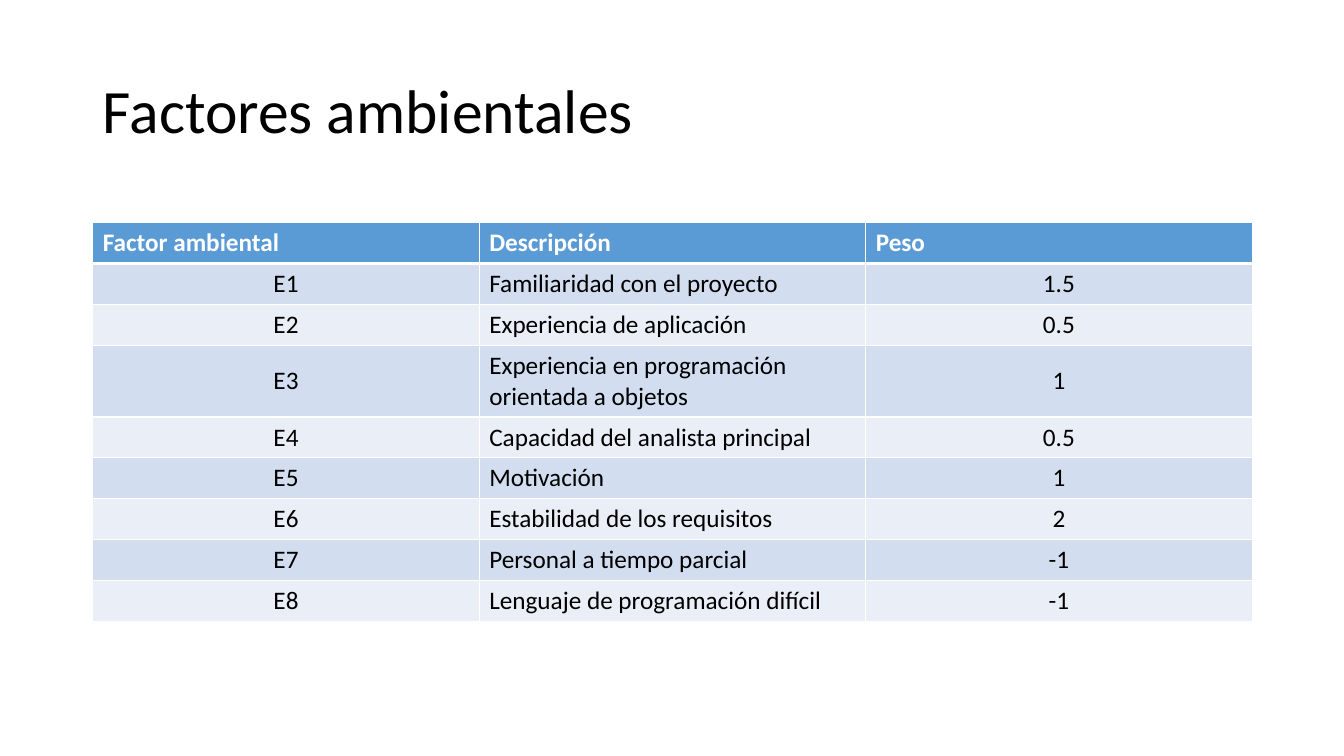
from lxml.etree import SubElement
from pptx import Presentation
from pptx.dml.color import RGBColor
from pptx.enum.text import MSO_ANCHOR, MSO_AUTO_SIZE, PP_ALIGN
from pptx.oxml.ns import qn
from pptx.util import Inches, Pt

COLORS = {"text": "000000", "white": "FFFFFF", "header": "5B9BD5",
          "odd": "D2DEEF", "even": "EAEFF7"}
LEFT, WIDTH = 0.92, 11.5
TITLE_TOP, TITLE_HEIGHT = 0.4, 1.45
TABLE_TOP, ROW_HEIGHT = 2.21, 0.405
HEADINGS = ("Factor ambiental", "Descripción", "Peso")
FACTORS = (
    ("Familiaridad con el proyecto", "1.5"),
    ("Experiencia de aplicación", "0.5"),
    ("Experiencia en programación orientada a objetos", "1"),
    ("Capacidad del analista principal", "0.5"),
    ("Motivación", "1"),
    ("Estabilidad de los requisitos", "2"),
    ("Personal a tiempo parcial", "-1"),
    ("Lenguaje de programación difícil", "-1"),
)
ALIGNMENTS = (PP_ALIGN.CENTER, PP_ALIGN.LEFT, PP_ALIGN.CENTER)


def apply_format(target, values):
    """Set every attribute named in a dict of format values."""
    for attribute, value in values.items():
        setattr(target, attribute, value)


def write_text(paragraph, words, color, size, bold=False):
    """Write one formatted run into a paragraph."""
    wording = paragraph.add_run()
    wording.text = words
    apply_format(wording.font, {"name": "Calibri", "size": Pt(size), "bold": bold})
    wording.font.color.rgb = RGBColor.from_string(COLORS[color])


def add_title(slide, words):
    """Fill the title placeholder."""
    heading = slide.shapes.title
    apply_format(heading, {"left": Inches(LEFT), "top": Inches(TITLE_TOP),
                           "width": Inches(WIDTH), "height": Inches(TITLE_HEIGHT)})
    apply_format(heading.text_frame, {"vertical_anchor": MSO_ANCHOR.MIDDLE,
                                      "word_wrap": True,
                                      "auto_size": MSO_AUTO_SIZE.NONE})
    paragraph = heading.text_frame.paragraphs[0]
    apply_format(paragraph, {"alignment": PP_ALIGN.LEFT, "line_spacing": 0.9})
    write_text(paragraph, words, "text", 44)


def add_borders(cell, top, bottom):
    """Draw white borders on the four sides of a cell."""
    properties = cell._tc.get_or_add_tcPr()
    for side, points in (("L", 1), ("R", 1), ("T", top), ("B", bottom)):
        border = SubElement(properties, qn(f"a:ln{side}"), w=str(Pt(points)))
        paint = SubElement(border, qn("a:solidFill"))
        SubElement(paint, qn("a:srgbClr"), val=COLORS["white"])


def fill_cell(cell, words, background, color, alignment, anchor, top, bottom, bold):
    """Format one table cell and write its words."""
    add_borders(cell, top, bottom)
    cell.fill.solid()
    cell.fill.fore_color.rgb = RGBColor.from_string(COLORS[background])
    cell.vertical_anchor = anchor
    paragraph = cell.text_frame.paragraphs[0]
    paragraph.alignment = alignment
    write_text(paragraph, words, color, 18, bold)


def add_factor_table(slide):
    """Add the banded table of environmental factors."""
    row_count = len(FACTORS) + 1
    table = slide.shapes.add_table(
        row_count, len(HEADINGS), Inches(LEFT), Inches(TABLE_TOP),
        Inches(WIDTH), Inches(ROW_HEIGHT * row_count)).table
    for column, heading in enumerate(HEADINGS):
        fill_cell(table.cell(0, column), heading, "header", "white",
                  PP_ALIGN.LEFT, MSO_ANCHOR.TOP, 1, 3, True)
    for number, factor in enumerate(FACTORS, 1):
        band = "odd" if number % 2 else "even"
        top = 3 if number == 1 else 1
        for column, words in enumerate((f"E{number}", *factor)):
            fill_cell(table.cell(number, column), words, band, "text",
                      ALIGNMENTS[column], MSO_ANCHOR.MIDDLE, top, 1, False)


def main():
    """Build and save the slide."""
    deck = Presentation()
    apply_format(deck, {"slide_width": Inches(13.33), "slide_height": Inches(7.5)})
    slide = deck.slides.add_slide(deck.slide_layouts[5])
    add_title(slide, "Factores ambientales")
    add_factor_table(slide)
    deck.save("out.pptx")


if __name__ == "__main__":
    main()
